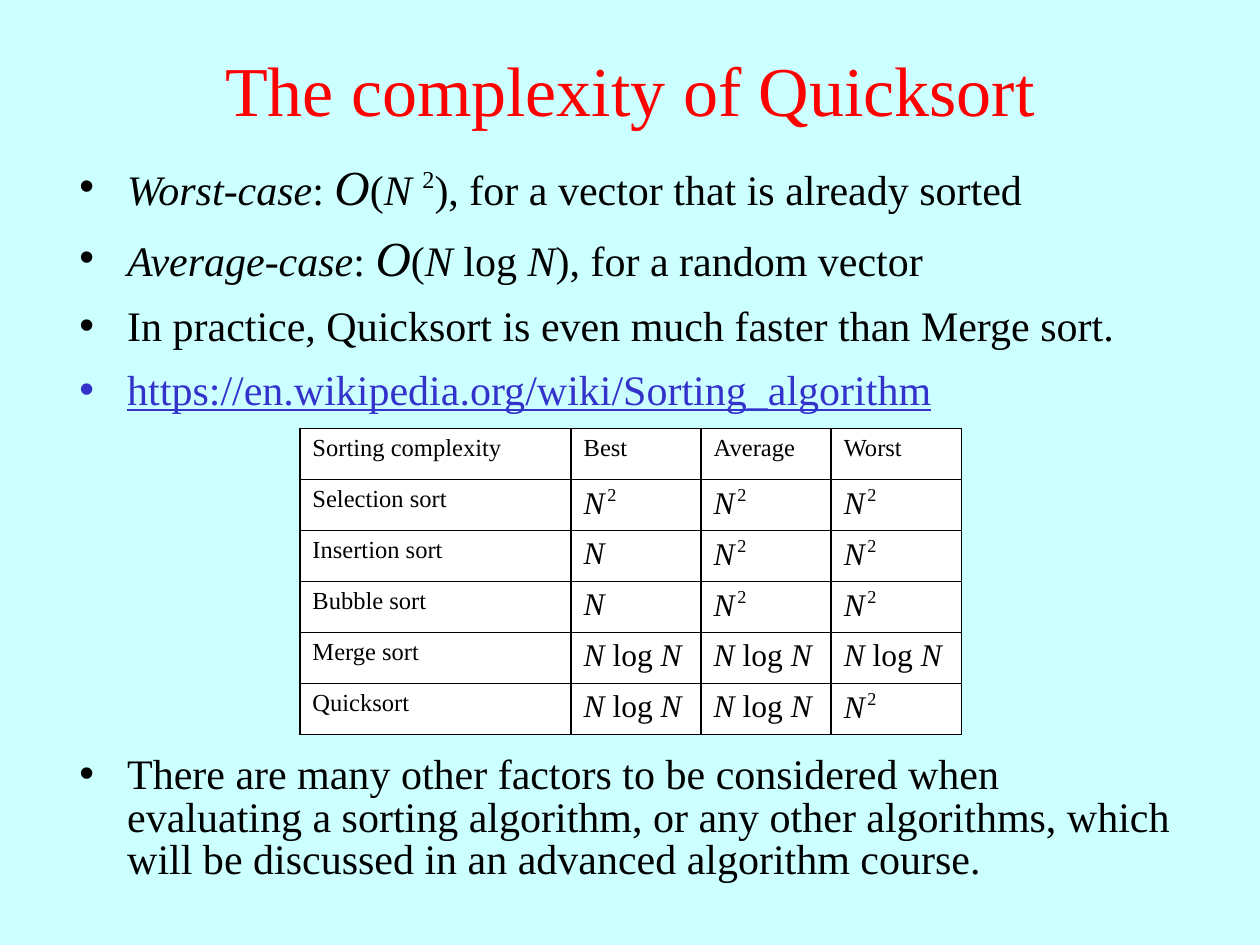
from dataclasses import dataclass

from pptx import Presentation
from pptx.dml.color import RGBColor
from pptx.enum.text import MSO_ANCHOR, MSO_AUTO_SIZE, PP_ALIGN
from pptx.oxml import parse_xml
from pptx.oxml.ns import nsdecls
from pptx.util import Inches, Pt


@dataclass(frozen=True)
class Theme:
    font: str = "Times New Roman"
    background: str = "CCFFFF"
    title: str = "FF0000"
    ink: str = "000000"
    link: str = "3333CC"
    cell: str = "FFFFFF"
    title_size: int = 40
    body_size: int = 24
    big_o_size: int = 28
    label_size: int = 14
    formula_size: int = 18
    gap_size: int = 6


THEME = Theme()

# Content: each text is a list of (words, format) runs
ITALIC = {"italic": True}
SUPER = {"raised": 40}
BIG_O = {"italic": True, "size": THEME.big_o_size}

TITLE = "The complexity of Quicksort"
BULLETS = [
    [("Worst-case", ITALIC), (": ", {}), ("O", BIG_O), ("(", {}), ("N ", ITALIC),
     ("2", SUPER), ("), for a vector that is already sorted", {})],
    [("Average-case", ITALIC), (": ", {}), ("O", BIG_O), ("(", {}), ("N", ITALIC),
     (" log ", {}), ("N", ITALIC), ("), for a random vector", {})],
    [("In practice, Quicksort is even much faster than Merge sort.", {})],
    [("https://en.wikipedia.org/wiki/Sorting_algorithm",
      {"color": THEME.link, "underline": True})],
    [("There are many other factors to be considered when evaluating a sorting "
      "algorithm, or any other algorithms, which will be discussed in an advanced "
      "algorithm course.", {})],
]

LINEAR = [("N", ITALIC)]
SQUARE = [("N", ITALIC), (" ", {"italic": True, "size": THEME.gap_size}), ("2", SUPER)]
LOG = [("N", ITALIC), (" log ", {}), ("N", ITALIC)]
HEADER = ["Sorting complexity", "Best", "Average", "Worst"]
COMPLEXITY = [
    ("Selection sort", SQUARE, SQUARE, SQUARE),
    ("Insertion sort", LINEAR, SQUARE, SQUARE),
    ("Bubble sort", LINEAR, SQUARE, SQUARE),
    ("Merge sort", LOG, LOG, LOG),
    ("Quicksort", LOG, LOG, SQUARE),
]

# Layout, in inches; the gap leaves room for the table, in points
SLIDE_SIZE = (10, 7.5)
TITLE_BOX = (0, 0.08, 10, 1.25)
BODY_BOX = (0.53, 1.26, 8.97, 5.9)
TABLE_BOX = (2.38, 3.4, 5.25, 2.43)
LABEL_SHARE = 0.41
INDENT = 0.38
TABLE_GAP = 183


def add_text(paragraph, text, size, color=THEME.ink, italic=False,
             underline=False, raised=0):
    run = paragraph.add_run()
    run.text = text
    font = run.font
    font.name, font.size = THEME.font, Pt(size)
    font.bold, font.italic, font.underline = False, italic, underline
    font.color.rgb = RGBColor.from_string(color)
    if raised:
        run._r.get_or_add_rPr().set("baseline", str(raised * 1000))


def add_runs(paragraph, runs, size):
    for text, style in runs:
        add_text(paragraph, text, **{"size": size, **style})


def place(shape, box):
    shape.left, shape.top, shape.width, shape.height = map(Inches, box)


def add_borders(cell):
    properties = cell._tc.get_or_add_tcPr()
    for side in ("lnL", "lnR", "lnT", "lnB"):
        properties.append(parse_xml(
            f'<a:{side} {nsdecls("a")} w="{Pt(1)}"><a:solidFill>'
            f'<a:srgbClr val="{THEME.ink}"/></a:solidFill></a:{side}>'))


def fill_title(shape):
    place(shape, TITLE_BOX)
    frame = shape.text_frame
    frame.auto_size = MSO_AUTO_SIZE.NONE
    frame.vertical_anchor = MSO_ANCHOR.MIDDLE
    paragraph = frame.paragraphs[0]
    paragraph.alignment = PP_ALIGN.CENTER
    add_text(paragraph, TITLE, THEME.title_size, color=THEME.title)


def fill_body(shape):
    place(shape, BODY_BOX)
    frame = shape.text_frame
    frame.auto_size = MSO_AUTO_SIZE.NONE
    for index, runs in enumerate(BULLETS):
        paragraph = frame.add_paragraph() if index else frame.paragraphs[0]
        properties = paragraph._p.get_or_add_pPr()
        properties.set("marL", str(Inches(INDENT)))
        properties.set("indent", str(-Inches(INDENT)))
        paragraph.line_spacing = 0.85
        paragraph.space_before = Pt(0)
        paragraph.space_after = Pt(12)
        add_runs(paragraph, runs, THEME.body_size)
    paragraph.space_before = Pt(TABLE_GAP)


def add_complexity_table(slide):
    rows = [HEADER, *COMPLEXITY]
    table = slide.shapes.add_table(
        len(rows), len(HEADER), *map(Inches, TABLE_BOX)).table
    table.first_row = table.horz_banding = False
    width, height = TABLE_BOX[2:]
    value_share = (1 - LABEL_SHARE) / (len(HEADER) - 1)
    for index, column in enumerate(table.columns):
        column.width = Inches(width * (value_share if index else LABEL_SHARE))
    for row, contents in zip(table.rows, rows):
        row.height = Inches(height / len(rows))
        for cell, content in zip(row.cells, contents):
            add_borders(cell)
            cell.fill.solid()
            cell.fill.fore_color.rgb = RGBColor.from_string(THEME.cell)
            paragraph = cell.text_frame.paragraphs[0]
            if isinstance(content, str):
                add_text(paragraph, content, THEME.label_size)
            else:
                add_runs(paragraph, content, THEME.formula_size)


def main():
    presentation = Presentation()
    presentation.slide_width, presentation.slide_height = map(Inches, SLIDE_SIZE)
    slide = presentation.slides.add_slide(presentation.slide_layouts[1])
    background = slide.background.fill
    background.solid()
    background.fore_color.rgb = RGBColor.from_string(THEME.background)
    fill_title(slide.shapes.title)
    fill_body(slide.placeholders[1])
    add_complexity_table(slide)
    presentation.save("out.pptx")


if __name__ == "__main__":
    main()
